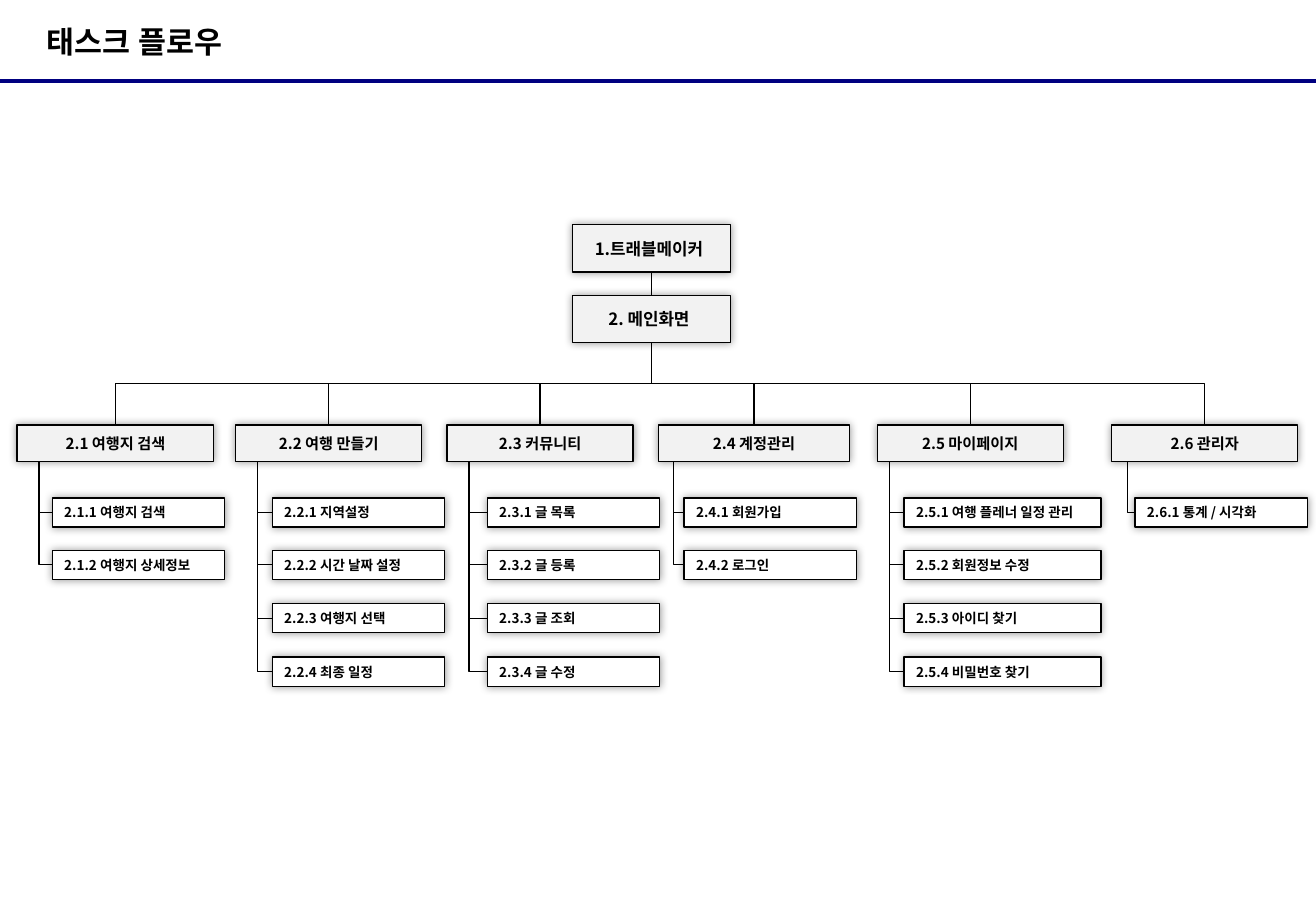
from pptx import Presentation
from pptx.dml.color import RGBColor
from pptx.enum.shapes import MSO_CONNECTOR, MSO_SHAPE
from pptx.enum.text import MSO_ANCHOR, PP_ALIGN
from pptx.oxml import parse_xml
from pptx.oxml.ns import nsdecls, qn
from pptx.util import Inches, Pt

ROWS = (4.1, 4.53, 4.97, 5.41)
MENUS = [
    ("여행지 검색", 0.14, 1.62, 0.32, 0.43, 1.42,
     ["여행지 검색", "여행지 상세정보"]),
    ("여행 만들기", 1.94, 1.53, 2.12, 2.24, 1.42,
     ["지역설정", "시간 날짜 설정", "여행지 선택", "최종 일정"]),
    ("커뮤니티", 3.68, 1.53, 3.86, 4.01, 1.42,
     ["글 목록", "글 등록", "글 조회", "글 수정"]),
    ("계정관리", 5.42, 1.57, 5.54, 5.63, 1.42,
     ["회원가입", "로그인"]),
    ("마이페이지", 7.22, 1.53, 7.32, 7.44, 1.62,
     ["여행 플레너 일정 관리", "회원정보 수정", "아이디 찾기", "비밀번호 찾기"]),
    ("관리자", 9.15, 1.53, 9.28, 9.34, 1.42,
     ["통계 / 시각화"]),
]


def tint(code):
    return RGBColor.from_string(code)


class Chart:
    font = "Noto Sans CJK KR"
    ink = "000000"
    gray = "F2F2F2"
    white = "FFFFFF"
    navy = "000080"

    def __init__(self, deck):
        self.slide = deck.slides.add_slide(deck.slide_layouts[5])

    def label(self, frame, text, size, font, align, pads):
        frame.word_wrap = True
        frame.vertical_anchor = MSO_ANCHOR.MIDDLE
        left, top, right, base = map(Inches, pads)
        frame.margin_left, frame.margin_top = left, top
        frame.margin_right, frame.margin_bottom = right, base
        para = frame.paragraphs[0]
        para.alignment = align
        run = para.add_run()
        run.text = text
        run.font.size = Pt(size)
        run.font.bold = True
        run.font.name = font
        run.font.color.rgb = tint(self.ink)
        run._r.get_or_add_rPr().append(
            parse_xml(f'<a:ea {nsdecls("a")} typeface="{font}"/>'))

    def title(self, text):
        head = self.slide.shapes.title
        head.left, head.top, head.width, head.height = map(Inches, (0.38, 0, 7.08, 0.68))
        self.label(head.text_frame, text, 18, "Arial", PP_ALIGN.LEFT, (0, 0, 0, 0))

    def box(self, text, x, y, w, h, size, fill, align=PP_ALIGN.CENTER, pad=0.1):
        box = self.slide.shapes.add_shape(
            MSO_SHAPE.RECTANGLE, Inches(x), Inches(y), Inches(w), Inches(h))
        box.fill.solid()
        box.fill.fore_color.rgb = tint(fill)
        box.line.color.rgb = tint(self.ink)
        box.line.width = Pt(0.75)
        box.shadow.inherit = False
        glow = box._element.spPr.find(qn("a:effectLst"))
        glow.append(parse_xml(
            f'<a:outerShdw {nsdecls("a")} blurRad="{Pt(5)}" dist="0" dir="0" algn="ctr" rotWithShape="0">'
            f'<a:srgbClr val="{self.ink}"><a:alpha val="40000"/></a:srgbClr></a:outerShdw>'))
        self.label(box.text_frame, text, size, self.font, align, (pad, 0.05, 0.1, 0.05))
        return box

    def line(self, x1, y1, x2, y2, color=ink, width=0.75, kind=MSO_CONNECTOR.STRAIGHT):
        line = self.slide.shapes.add_connector(
            kind, Inches(x1), Inches(y1), Inches(x2), Inches(y2))
        line.line.color.rgb = tint(color)
        line.line.width = Pt(width)
        line._element.spPr.append(parse_xml(f'<a:effectLst {nsdecls("a")}/>'))
        return line

    def bend(self, x1, y1, x2, y2, shape, end, start=None):
        line = self.line(x1, y1, x2, y2, kind=MSO_CONNECTOR.ELBOW)
        if start is not None:
            line.begin_connect(start, 2)
        line.end_connect(end, 1 if start is None else 0)
        long, wide = y2 - y1, abs(x2 - x1)
        line.left, line.top = Inches((x1 + x2 - long) / 2), Inches((y1 + y2 - wide) / 2)
        line.width, line.height = Inches(long), Inches(wide)
        form = line._element.spPr.find(qn("a:xfrm"))
        for flip in ("flipH", "flipV"):
            form.attrib.pop(flip, None)
        form.set("rot", "5400000" if x2 < x1 else "16200000")
        if x2 >= x1:
            form.set("flipH", "1")
        line._element.spPr.find(qn("a:prstGeom")).set("prst", shape)


def main():
    deck = Presentation()
    deck.slide_width, deck.slide_height = Inches(10.83), Inches(7.5)
    flow = Chart(deck)
    flow.line(0, 0.67, 10.83, 0.67, flow.navy, 2.25)
    flow.title("태스크 플로우")

    root = flow.box("1.트래블메이커", 4.71, 1.85, 1.3, 0.39, 10, flow.gray, pad=0.06)
    home = flow.box("2. 메인화면", 4.71, 2.43, 1.3, 0.39, 10, flow.gray, pad=0.06)
    stem = flow.line(5.36, 2.24, 5.36, 2.43)
    stem.begin_connect(root, 2)
    stem.end_connect(home, 0)

    for num, (name, x, w, rail, left, wide, items) in enumerate(MENUS, 1):
        menu = flow.box(f"2.{num} {name}", x, 3.5, w, 0.3, 9, flow.gray)
        flow.bend(5.36, 2.82, x + w / 2, 3.5, "bentConnector3", menu, home)
        for sub, (item, y) in enumerate(zip(items, ROWS), 1):
            leaf = flow.box(f"2.{num}.{sub} {item}", left, y, wide, 0.24, 8,
                            flow.white, PP_ALIGN.LEFT)
            flow.bend(rail, 3.8, left, y + 0.12, "bentConnector2", leaf)

    deck.save("out.pptx")


if __name__ == "__main__":
    main()
